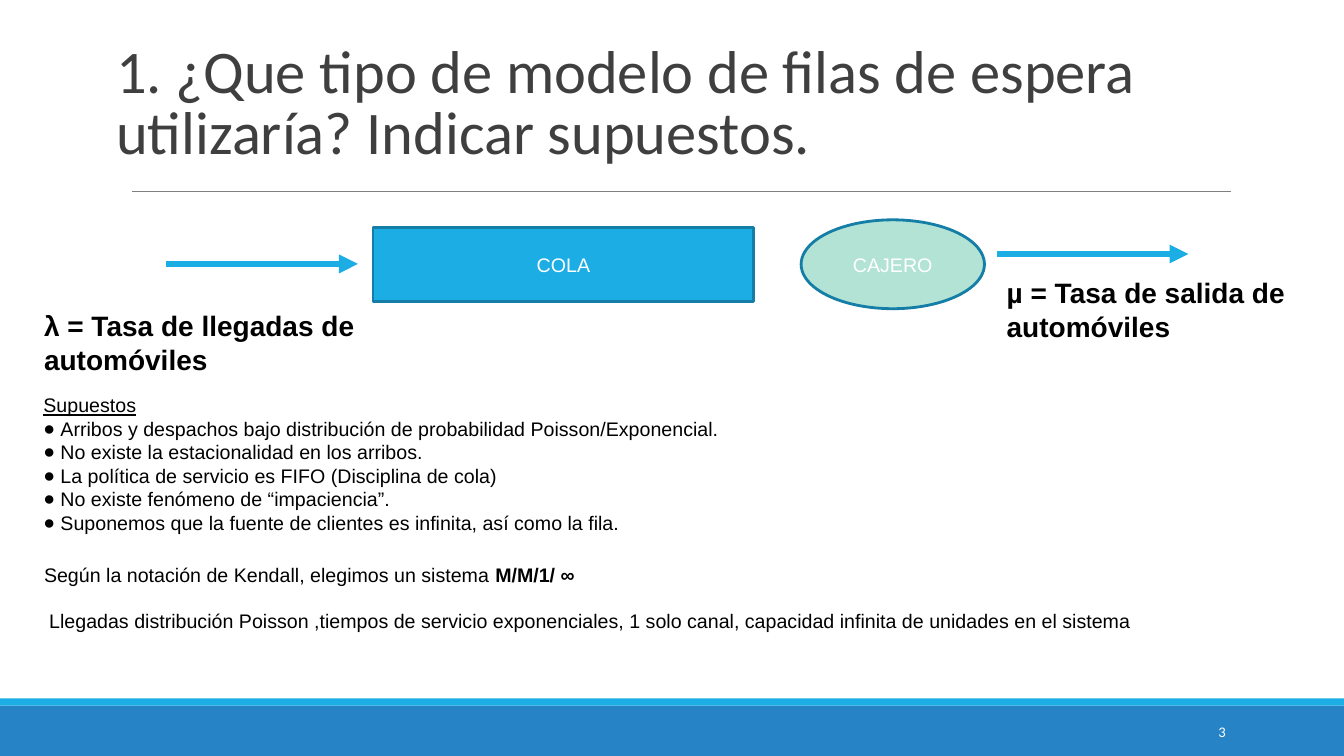
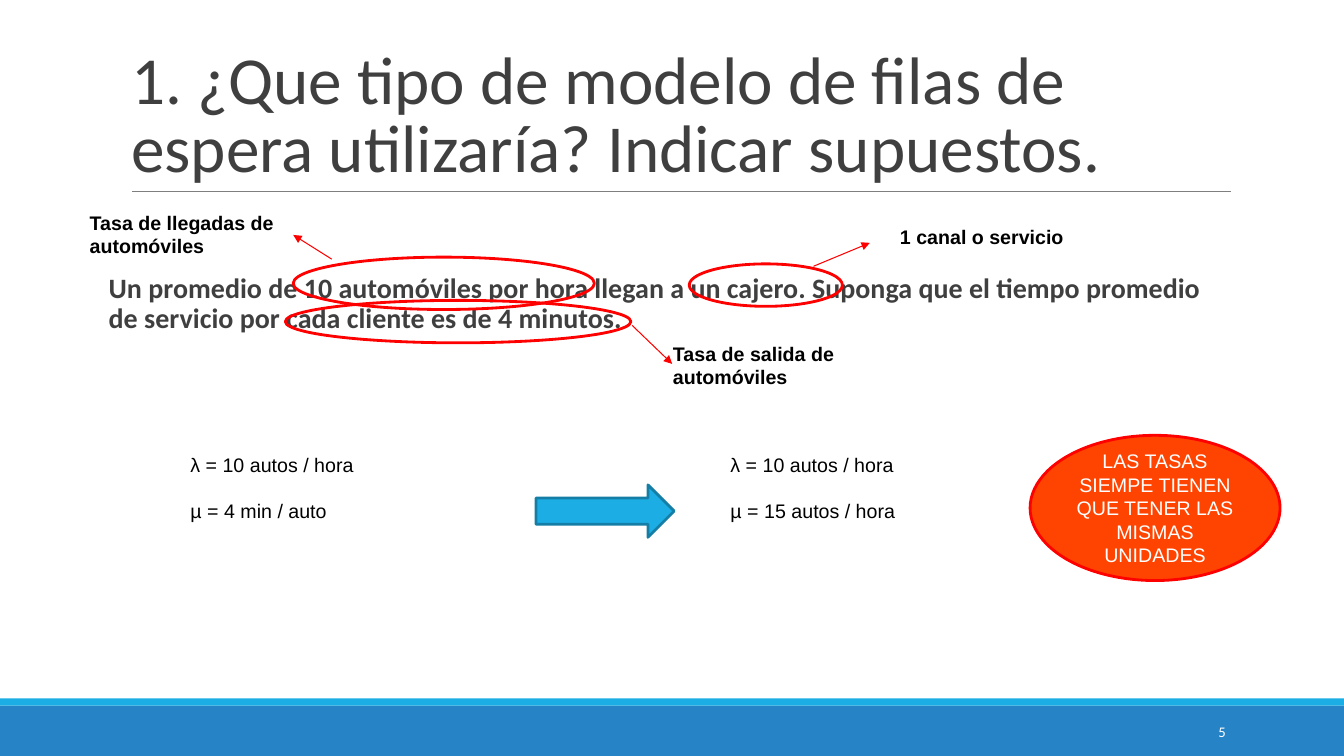
from dataclasses import dataclass

import lxml.etree
import pptx
import pptx.dml.color
import pptx.enum.shapes
import pptx.enum.text
import pptx.oxml.ns
import pptx.util

Cm = pptx.util.Cm
Pt = pptx.util.Pt
SHAPE = pptx.enum.shapes.MSO_SHAPE
ALIGN = pptx.enum.text.PP_ALIGN
ANCHOR = pptx.enum.text.MSO_ANCHOR


# Colours, fonts and type sizes
@dataclass(frozen=True)
class Theme:
    sky: str = "1CADE4"
    sky_edge: str = "147EA6"
    blue: str = "2683C6"
    mint: str = "B2E3D5"
    red: str = "FF0000"
    orange: str = "FF4401"
    gray: str = "7F7F7F"
    ink: str = "3F3F3F"
    black: str = "000000"
    white: str = "FFFFFF"
    head_font: str = "Calibri"
    text_font: str = "Arial"
    text: float = 14
    large: float = 20
    number: float = 10.5
    edge: float = 2
    hairline: float = 0.75
    thick: float = 4.5
    paragraph_gap: float = 16


T = Theme()
TITLE = "1. ¿Que tipo de modelo de filas de espera utilizaría? Indicar supuestos."


def rgb(color):
    return pptx.dml.color.RGBColor.from_string(color)


# Text helpers
def style(p, size=T.text, color=T.black, font=T.text_font, bold=False, align=ALIGN.LEFT):
    p.alignment = align
    for r in p.runs:
        r.font.size = Pt(size)
        r.font.name = font
        r.font.bold = bold
        r.font.color.rgb = rgb(color)


def set_bullet(p, char=None, hang=0.0):
    pPr = p._p.get_or_add_pPr()
    pPr.set("marL", str(Cm(hang)))
    pPr.set("indent", str(-Cm(hang)))
    kind = "a:buChar" if char else "a:buNone"
    bullet = lxml.etree.SubElement(pPr, pptx.oxml.ns.qn(kind))
    if char:
        bullet.set("char", char)


def place(s, left, top, width, height):
    s.left, s.top, s.width, s.height = Cm(left), Cm(top), Cm(width), Cm(height)


def add_text(slide, box, lines, gap=0.0, **look):
    s = slide.shapes.add_textbox(*map(Cm, box))
    tf = s.text_frame
    tf.word_wrap = True
    tf.text = "\n".join(lines)
    for i, p in enumerate(tf.paragraphs):
        style(p, **look)
        if i and gap:
            p.space_before = Pt(gap)
    return tf


def set_title(slide, box, size):
    s = slide.shapes.title
    place(s, *box)
    tf = s.text_frame
    tf.text = TITLE
    tf.auto_size = pptx.enum.text.MSO_AUTO_SIZE.NONE
    tf.vertical_anchor = ANCHOR.BOTTOM
    p = tf.paragraphs[0]
    p.line_spacing = 0.85
    style(p, size, T.ink, T.head_font)


def set_body(slide, box, lines):
    s = slide.placeholders[1]
    place(s, *box)
    tf = s.text_frame
    tf.text = "\n".join(lines)
    tf.auto_size = pptx.enum.text.MSO_AUTO_SIZE.NONE
    for p in tf.paragraphs:
        p.space_before = Pt(0)
    return tf


# Shape helpers
def add_shape(slide, kind, box, fill=None, line=None, text=""):
    s = slide.shapes.add_shape(kind, *map(Cm, box))
    s.shadow.inherit = False
    if fill:
        s.fill.solid()
        s.fill.fore_color.rgb = rgb(fill)
    else:
        s.fill.background()
    if line:
        s.line.color.rgb = rgb(line)
        s.line.width = Pt(T.edge)
    else:
        s.line.fill.background()
    if text:
        tf = s.text_frame
        tf.text = text
        tf.word_wrap = True
        tf.vertical_anchor = ANCHOR.MIDDLE
        style(tf.paragraphs[0], color=T.white, align=ALIGN.CENTER)
    return s


def add_line(slide, start, end, color, width, arrow=True):
    straight = pptx.enum.shapes.MSO_CONNECTOR.STRAIGHT
    c = slide.shapes.add_connector(straight, *map(Cm, start + end))
    c.line.color.rgb = rgb(color)
    c.line.width = Pt(width)
    qn = pptx.oxml.ns.qn
    spPr = c.element.spPr
    if arrow:
        lxml.etree.SubElement(spPr.find(qn("a:ln")), qn("a:tailEnd")).set("type", "triangle")
    lxml.etree.SubElement(spPr, qn("a:effectLst"))


# Bands, rule, title and slide number shared by the slides
def new_slide(prs, number, title_box, title_size):
    slide = prs.slides.add_slide(prs.slide_layouts[1])
    add_shape(slide, SHAPE.RECTANGLE, (0, 17.78, 33.87, 1.27), T.blue)
    add_shape(slide, SHAPE.RECTANGLE, (0, 17.6, 33.87, 0.18), T.sky)
    add_line(slide, (3.33, 4.83), (31.01, 4.83), T.gray, T.hairline, arrow=False)
    set_title(slide, title_box, title_size)
    tf = add_text(slide, (27.51, 17.93, 3.63, 1.02), [str(number)], size=T.number,
                  color=T.white, font=T.head_font, align=ALIGN.RIGHT)
    tf.vertical_anchor = ANCHOR.MIDDLE
    return slide


def build_model(prs):
    slide = new_slide(prs, 3, (2.67, 0.69, 27.15, 3.65), 43.2)

    # Queue diagram
    add_shape(slide, SHAPE.RECTANGLE, (9.4, 5.74, 9.6, 1.85), T.sky, T.sky_edge, "COLA")
    add_shape(slide, SHAPE.OVAL, (20.19, 5.54, 4.62, 2.24), T.mint, T.sky_edge, "CAJERO")
    for left, y in ((4.19, 6.65), (25.12, 6.4)):
        add_line(slide, (left, y), (left + 4.83, y), T.sky, T.thick)
    for box, text in (
        ((0.86, 7.65, 11.51, 1.8), "λ = Tasa de llegadas de automóviles"),
        ((25.12, 6.83, 8.7, 1.8), "µ = Tasa de salida de automóviles"),
    ):
        add_text(slide, box, [text], size=T.large, bold=True)

    # Assumptions
    tf = set_body(slide, (0.84, 9.78, 21.67, 3.84), [
        "Supuestos",
        "Arribos y despachos bajo distribución de probabilidad Poisson/Exponencial.",
        "No existe la estacionalidad en los arribos.",
        "La política de servicio es FIFO (Disciplina de cola)",
        "No existe fenómeno de “impaciencia”.",
        "Suponemos que la fuente de clientes es infinita, así como la fila.",
    ])
    heading, *items = tf.paragraphs
    set_bullet(heading)
    style(heading)
    heading.runs[0].font.underline = True
    for p in items:
        set_bullet(p, "●", 0.43)
        style(p)

    # Kendall notation
    tf = add_text(slide, (0.86, 14.07, 30.81, 2), [
        "Según la notación de Kendall, elegimos un sistema ",
        "Llegadas distribución Poisson ,tiempos de servicio exponenciales, 1 solo canal, "
        "capacidad infinita de unidades en el sistema",
    ], gap=T.paragraph_gap)
    notation, meaning = tf.paragraphs
    r = notation.add_run()
    r.text = "M/M/1/ ∞"
    style(notation)
    r.font.bold = True
    meaning._p.get_or_add_pPr().set("marL", str(Cm(0.13)))


def build_rates(prs):
    slide = new_slide(prs, 5, (3.05, 0.79, 27.94, 4.04), 48)

    # Problem statement
    tf = set_body(slide, (2.74, 6.78, 27.94, 2.06), [
        "Un promedio de 10 automóviles por hora llegan a un cajero. Suponga que el tiempo "
        "promedio de servicio por cada cliente es de 4 minutos.",
    ])
    tf.margin_left = tf.margin_right = 0
    p = tf.paragraphs[0]
    set_bullet(p)
    p.line_spacing = 0.9
    style(p, T.large, T.ink, T.head_font, bold=True)

    # Circled data: ring, arrow and label
    for ring, start, end, label_box, label in (
        ((7.39, 6.48, 7.59, 1.32), (8.36, 6.53), (7.39, 5.92),
         (2.01, 5.18, 6.78, 1.35), "Tasa de llegadas de automóviles"),
        ((7.19, 7.57, 8.71, 1.07), (15.93, 8.2), (16.94, 9.17),
         (16.71, 8.48, 6.35, 1.35), "Tasa de salida de automóviles"),
        ((17.37, 6.65, 3.86, 1.07), (20.5, 6.71), (21.92, 6.12),
         (22.43, 5.54, 4.65, 0.86), "1 canal o servicio"),
    ):
        add_shape(slide, SHAPE.OVAL, ring, line=T.red)
        add_line(slide, start, end, T.red, T.hairline)
        add_text(slide, label_box, [label], bold=True)

    # Unit conversion
    for left, service in ((4.55, "µ = 4 min / auto"), (18.16, "µ = 15 autos / hora")):
        add_text(slide, (left, 11.28, 8.05, 2.1), ["λ = 10 autos / hora", service],
                 gap=T.paragraph_gap)
    add_shape(slide, SHAPE.RIGHT_ARROW, (13.51, 12.22, 3.48, 1.32), T.sky, T.sky_edge)
    add_shape(slide, SHAPE.OVAL, (25.96, 10.97, 6.3, 3.66), T.orange, T.red,
              "LAS TASAS SIEMPE TIENEN QUE TENER LAS MISMAS UNIDADES")


def main():
    prs = pptx.Presentation()
    prs.slide_width, prs.slide_height = Cm(33.87), Cm(19.05)
    build_model(prs)
    build_rates(prs)
    prs.save("out.pptx")


if __name__ == "__main__":
    main()
